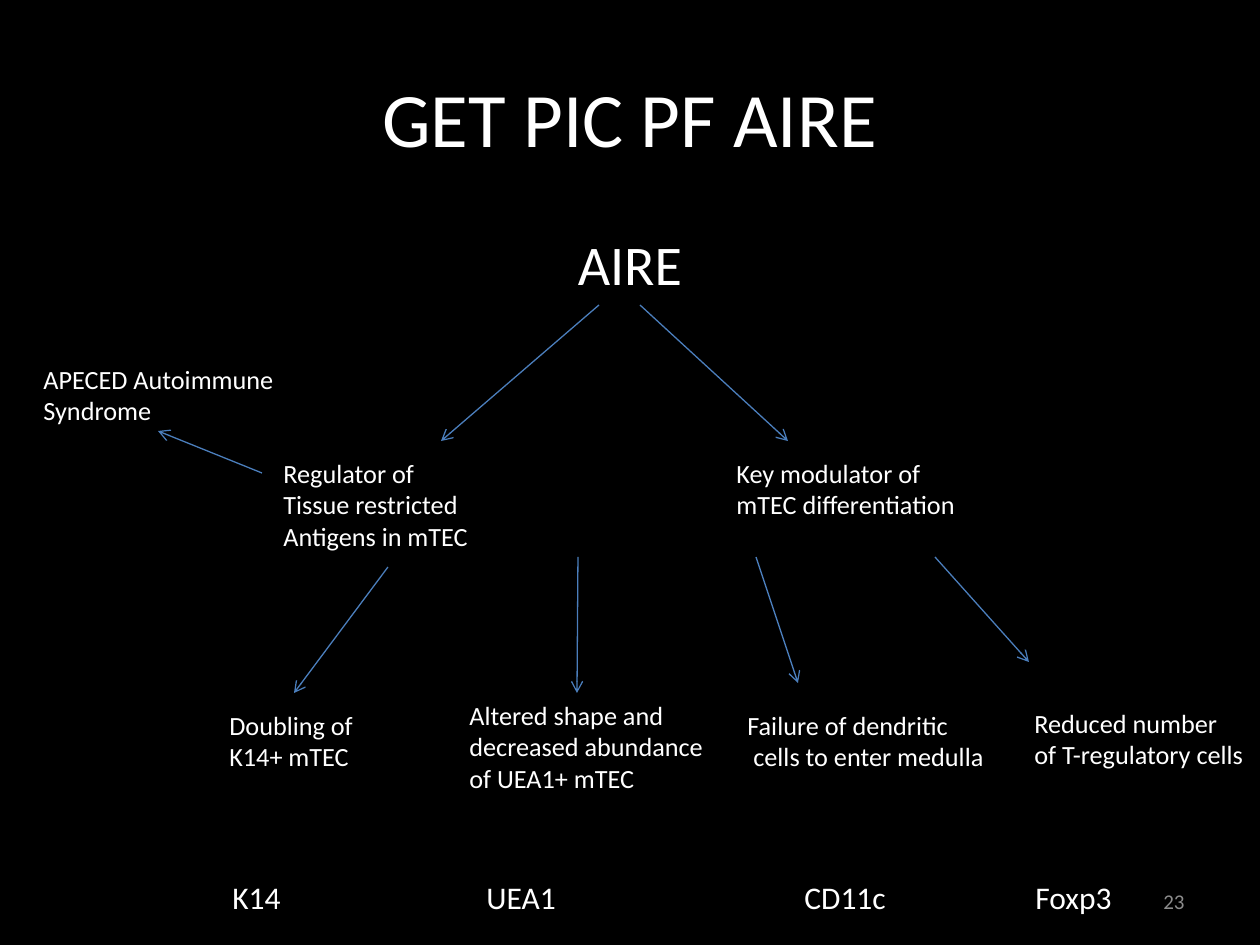
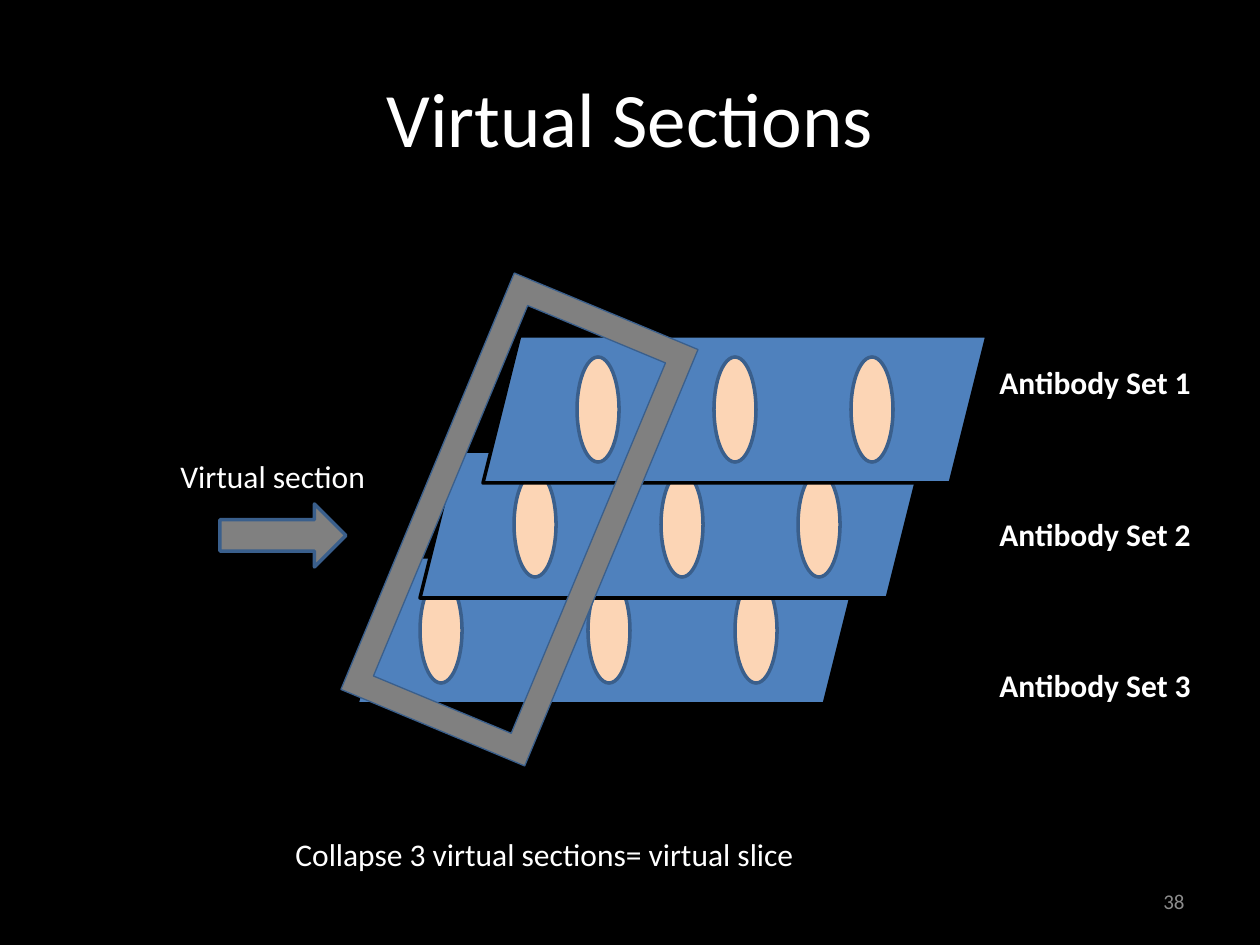
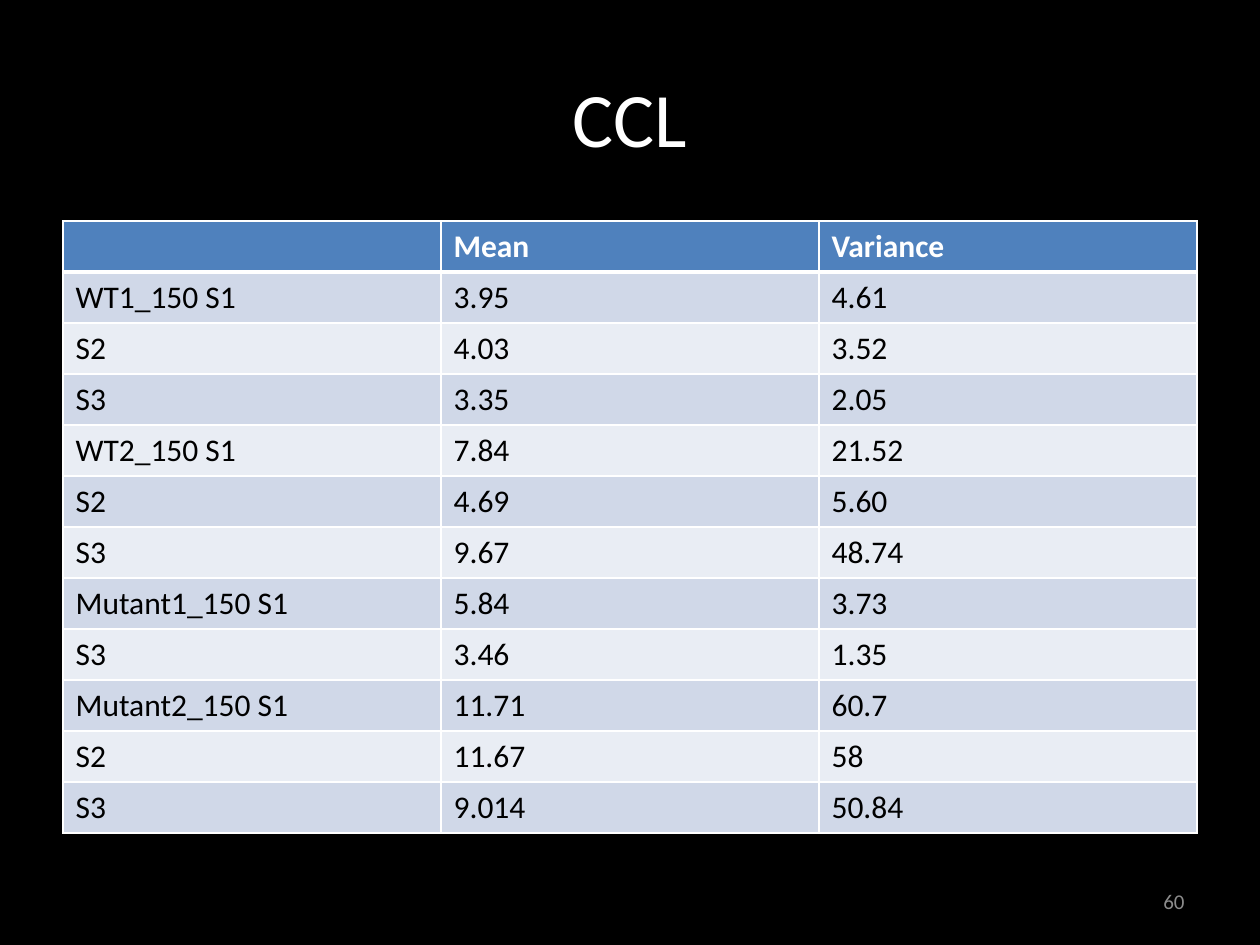
from lxml import etree
from pptx import Presentation
from pptx import util as u
from pptx.dml.color import RGBColor
from pptx.enum import shapes, text
from pptx.oxml import ns

PX = u.Inches(1) / 126
FONT = "Calibri"
BLACK = RGBColor(0x00, 0x00, 0x00)
WHITE = RGBColor(0xFF, 0xFF, 0xFF)
GRAY = RGBColor(0x80, 0x80, 0x80)
PALE = RGBColor(0x8C, 0x8C, 0x8C)
BLUE = RGBColor(0x4F, 0x81, 0xBD)
NAVY = RGBColor(0x3A, 0x5F, 0x8C)
WIRE = RGBColor(0x4B, 0x7E, 0xBC)
PEACH = RGBColor(0xFC, 0xD5, 0xB5)
BANDS = RGBColor(0xE9, 0xED, 0xF4), RGBColor(0xD0, 0xD8, 0xE8)
ALIGN = text.PP_ALIGN
KIND = shapes.MSO_SHAPE


def px(*sizes):
    return [u.Emu(round(size * PX)) for size in sizes]


def node(parent, tag, **attrs):
    return etree.SubElement(parent, ns.qn(tag), {k: str(v) for k, v in attrs.items()})


def write(frame, words, size=18, color=WHITE, bold=False, align=ALIGN.LEFT,
          gap=0, indent=0, tabs=()):
    for i, line in enumerate(words.split("\n")):
        para = frame.paragraphs[0] if i == 0 else frame.add_paragraph()
        props = para._p.get_or_add_pPr()
        if i and indent:
            props.set("marL", str(px(indent)[0]))
        if tabs:
            stops = node(props, "a:tabLst")
            for stop in px(*tabs):
                node(stops, "a:tab", pos=int(stop), algn="l")
        para.text = line
        para.alignment = align
        if i and gap:
            para.space_before = u.Pt(gap)
        font = para.font
        font.name, font.size, font.bold = FONT, u.Pt(size), bold
        font.color.rgb = color


class Deck:
    """Draws styled elements on the current slide, in px."""

    def __init__(self):
        self.prs = Presentation()
        self.prs.slide_width, self.prs.slide_height = px(1260, 945)

    def page(self, title, number):
        self.slide = self.prs.slides.add_slide(self.prs.slide_layouts[6])
        fill = self.slide.background.fill
        fill.solid()
        fill.fore_color.rgb = BLACK
        mid = text.MSO_ANCHOR.MIDDLE
        self.label(title, 63, 38, 1134, 157, wrap=True, anchor=mid,
                   size=44, align=ALIGN.CENTER)
        self.label(number, 903, 876, 294, 50, wrap=True, anchor=mid,
                   size=12, color=PALE, align=ALIGN.RIGHT)

    def label(self, words, x, y, w, h, wrap=False, anchor=text.MSO_ANCHOR.TOP, **style):
        frame = self.slide.shapes.add_textbox(*px(x, y, w, h)).text_frame
        frame.word_wrap = wrap
        frame.vertical_anchor = anchor
        write(frame, words, **style)

    def shape(self, kind, x, y, w, h, fill, line=NAVY, width=2, turn=0):
        item = self.slide.shapes.add_shape(kind, *px(x, y, w, h))
        item.shadow.inherit = False
        item.fill.solid()
        item.fill.fore_color.rgb = fill
        item.line.color.rgb = line
        item.line.width = u.Pt(width)
        item.rotation = turn

    def arrow(self, *ends):
        wire = self.slide.shapes.add_connector(shapes.MSO_CONNECTOR.STRAIGHT, *px(*ends))
        wire.line.color.rgb = WIRE
        wire.line.width = u.Pt(0.75)
        node(wire.line._get_or_add_ln(), "a:tailEnd", type="arrow")
        node(wire._element.spPr, "a:effectLst")

    def table(self, rows, x, y, wide, high):
        count, cols = len(rows), len(rows[0])
        grid = self.slide.shapes.add_table(
            count, cols, *px(x, y, wide * cols, high * count)).table
        for i, row in enumerate(rows):
            for j, words in enumerate(row):
                cell = grid.cell(i, j)
                self.edge(cell, top=3 if i == 1 else 1, base=3 if i == 0 else 1)
                cell.fill.solid()
                cell.fill.fore_color.rgb = BANDS[i % 2] if i else BLUE
                write(cell.text_frame, words, color=BLACK if i else WHITE, bold=i == 0)

    def edge(self, cell, top, base):
        props = cell._tc.get_or_add_tcPr()
        for side, width in zip("LRTB", (1, 1, top, base)):
            line = node(props, f"a:ln{side}", w=int(u.Pt(width)))
            node(node(line, "a:solidFill"), "a:srgbClr", val=WHITE)


def aire(deck):
    deck.page("GET PIC PF AIRE", "23")
    deck.label("AIRE", 63, 223, 1134, 80, wrap=True, size=32, align=ALIGN.CENTER)
    for ends in (
        (599, 305, 441, 441), (640, 305, 788, 441), (262, 473, 158, 431),
        (388, 567, 294, 693), (578, 557, 577, 693), (756, 557, 798, 683),
        (935, 557, 1029, 662),
    ):
        deck.arrow(*ends)
    for words, x, y, w, h in (
        ("Regulator of\nTissue restricted\nAntigens in mTEC", 271, 451, 212, 108),
        ("Key modulator of\nmTEC differentiation", 724, 451, 247, 77),
        ("Doubling of\nK14+ mTEC", 217, 703, 150, 77),
        ("Altered shape and\ndecreased abundance\nof UEA1+ mTEC", 457, 693, 267, 108),
        ("Reduced number\nof T-regulatory cells", 1022, 701, 238, 77),
    ):
        deck.label(words, x, y, w, h, size=15)
    deck.label("APECED Autoimmune Syndrome", 31, 357, 294, 77, wrap=True, size=15)
    deck.label("Failure of dendritic\ncells to enter medulla", 735, 703, 265, 77,
               size=15, indent=6)
    deck.label("K14\tUEA1\tCD11c\tFoxp3", 220, 872, 924, 50, wrap=True,
               tabs=(254, 572, 803))


def virtual(deck):
    deck.page("Virtual Sections", "38")
    for x, y, cells in (
        (357, 557, (420, 588, 735)),
        (420, 451, (514, 661, 798)),
        (483, 336, (577, 714, 851)),
    ):
        deck.shape(KIND.PARALLELOGRAM, x, y, 504, 147, BLUE, line=BLACK)
        for left in cells:
            deck.shape(KIND.OVAL, left, y + 21, 42, 105, PEACH)
    deck.label("Antibody Set 1\nAntibody Set 2\nAntibody Set 3", 987, 357, 219, 357,
               bold=True, gap=65)
    deck.shape(KIND.FRAME, 420, 294, 199, 451, GRAY, width=0.75, turn=22.6)
    deck.label("Virtual section", 168, 451, 213, 50)
    deck.shape(KIND.RIGHT_ARROW, 220, 504, 126, 63, GRAY)
    deck.label("Collapse 3 virtual sections= virtual slice", 283, 829, 537, 50)


def ccl(deck):
    deck.page("CCL", "60")
    deck.table([
        ("", "Mean", "Variance"),
        ("WT1_150 S1", "3.95", "4.61"),
        ("S2", "4.03", "3.52"),
        ("S3", "3.35", "2.05"),
        ("WT2_150 S1", "7.84", "21.52"),
        ("S2", "4.69", "5.60"),
        ("S3", "9.67", "48.74"),
        ("Mutant1_150 S1", "5.84", "3.73"),
        ("S3", "3.46", "1.35"),
        ("Mutant2_150 S1", "11.71", "60.7"),
        ("S2", "11.67", "58"),
        ("S3", "9.014", "50.84"),
    ], 63, 221, 378, 51)


def main():
    deck = Deck()
    for draw in (aire, virtual, ccl):
        draw(deck)
    deck.prs.save("out.pptx")


if __name__ == "__main__":
    main()
